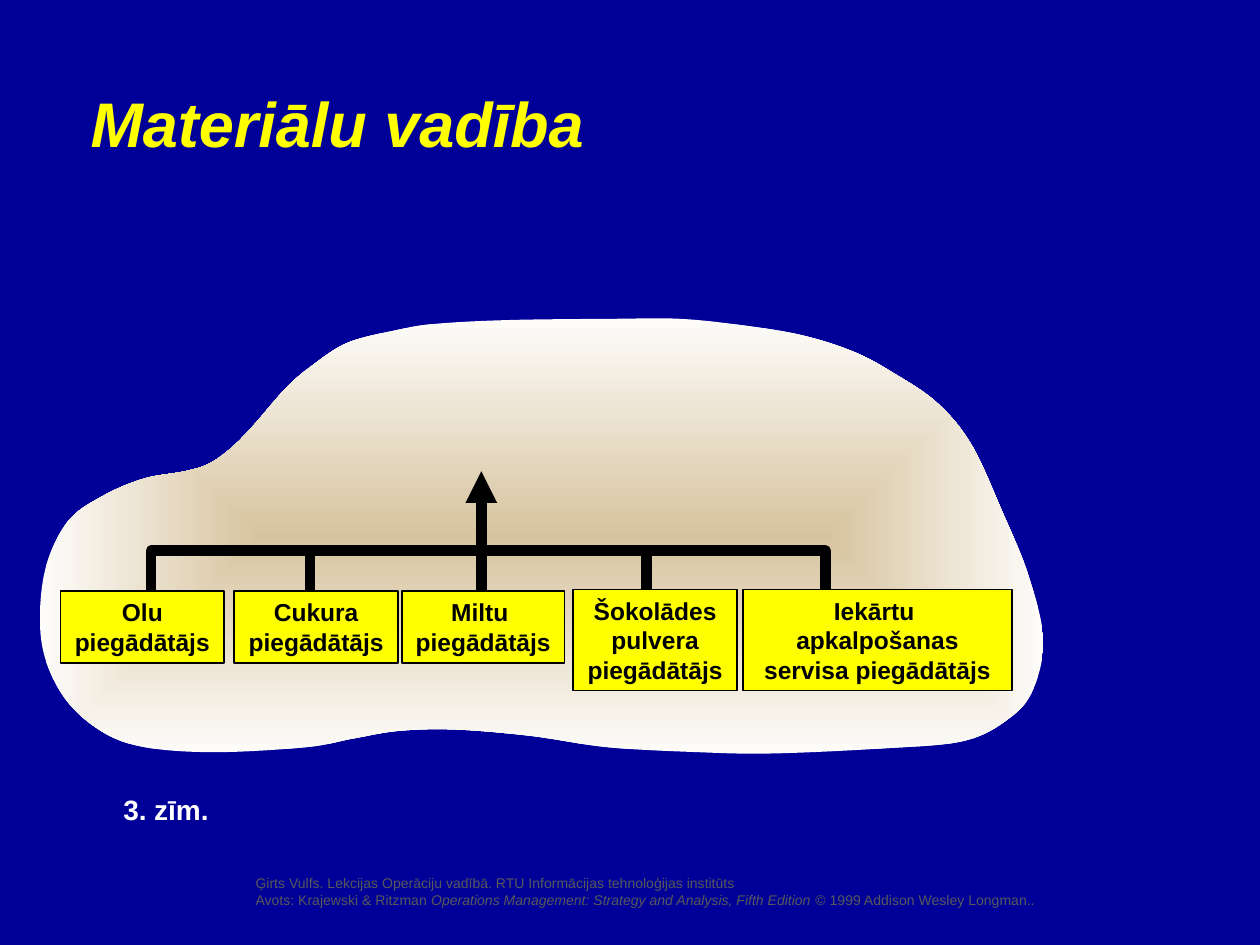
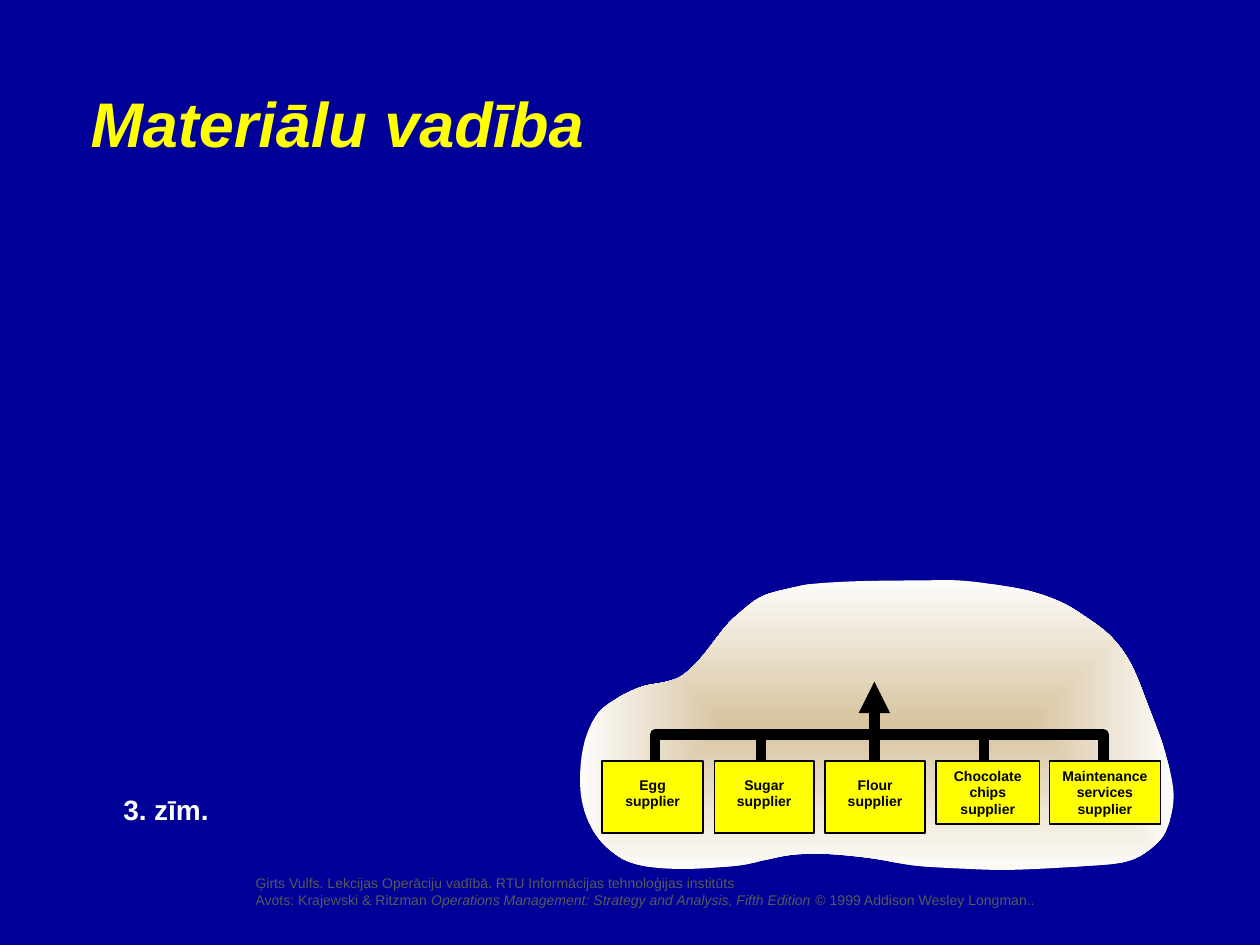
from dataclasses import dataclass
from typing import NamedTuple

from lxml.etree import SubElement as Sub
from pptx import Presentation
from pptx.dml.color import RGBColor
from pptx.enum.shapes import MSO_CONNECTOR as Link, MSO_SHAPE as Kind
from pptx.enum.text import MSO_ANCHOR as Anchor, PP_ALIGN as Align
from pptx.oxml.ns import qn
from pptx.util import Inches, Pt

NAVY = RGBColor(0x00, 0x00, 0x99)
YELLOW = RGBColor(0xFF, 0xFF, 0x00)
BLACK = RGBColor(0x00, 0x00, 0x00)
WHITE = RGBColor(0xFF, 0xFF, 0xFF)
GREY = RGBColor(0x59, 0x59, 0x59)
SAND = RGBColor(0xD7, 0xC4, 0x9F)
CREAM = RGBColor(0xFD, 0xFC, 0xFA)
FONT = "Arial"

KNOTS = [
    (3.46, 2.57), (3.15, 2.62), (2.76, 2.72), (2.48, 2.9), (2.27, 3.08),
    (2, 3.39), (1.83, 3.56), (1.66, 3.68), (1.47, 3.74), (1.14, 3.8),
    (0.81, 3.94), (0.53, 4.15), (0.35, 4.56), (0.33, 5.1), (0.5, 5.52),
    (0.8, 5.8), (1.15, 5.93), (1.71, 5.97), (2.43, 5.93), (2.81, 5.86),
    (3.17, 5.8), (3.62, 5.79), (4.21, 5.84), (4.82, 5.93), (5.54, 5.97),
    (6.13, 5.98), (7.01, 5.94), (7.65, 5.88), (8.01, 5.7), (8.2, 5.47),
    (8.28, 5.07), (8.16, 4.56), (7.95, 4.05), (7.71, 3.53), (7.44, 3.2),
    (7.09, 2.96), (6.77, 2.79), (6.36, 2.66), (5.88, 2.58), (5.39, 2.53),
    (4.88, 2.53), (4.04, 2.54),
]


class Area(NamedTuple):
    left: float
    top: float
    width: float
    height: float


class Style(NamedTuple):
    size: int
    color: RGBColor
    bold: bool = False
    slant: bool = False


class Box(NamedTuple):
    text: str
    area: Area
    inset: float = 0.05


class Fork(NamedTuple):
    left: float
    right: float
    top: float
    foot: float
    stems: tuple
    shaft: float
    tip: float


@dataclass
class Chain:
    cloud: Area
    fork: Fork
    size: int
    boxes: list


HOME = Area(0.31, 2.52, 7.98, 3.47)
HEAD = Style(36, YELLOW, True, True)
LABEL = Style(16, WHITE, True)
NOTE = Style(8, GREY)
CITE = Style(8, GREY, slant=True)

LOCAL = Chain(
    HOME, Fork(1.2, 6.55, 4.37, 4.74, (2.46, 5.13), 3.82, 3.74), 14,
    [
        Box("Olu\npiegādātājs", Area(0.48, 4.69, 1.3, 0.57)),
        Box("Cukura piegādātājs", Area(1.86, 4.69, 1.3, 0.57)),
        Box("Miltu \npiegādātājs", Area(3.19, 4.69, 1.29, 0.57)),
        Box("Šokolādes\npulvera piegādātājs", Area(4.55, 4.68, 1.3, 0.8)),
        Box("Iekārtu \napkalpošanas\nservisa piegādātājs",
            Area(5.9, 4.68, 2.13, 0.8)),
    ],
)
ENGLISH = Chain(
    Area(4.6, 4.6, 4.72, 2.31),
    Fork(5.2, 8.76, 5.83, 6.08, (6.04, 7.81), 6.94, 5.41), 8,
    [
        Box("Egg supplier", Area(4.78, 6.04, 0.8, 0.57), 0.12),
        Box("Sugar supplier", Area(5.67, 6.04, 0.79, 0.57), 0.12),
        Box("Flour supplier", Area(6.55, 6.04, 0.79, 0.57), 0.12),
        Box("Chocolate chips supplier", Area(7.43, 6.04, 0.82, 0.5)),
        Box("Maintenance services supplier", Area(8.33, 6.04, 0.88, 0.5)),
    ],
)


def add_run(para, text: str, style: Style) -> None:
    run = para.add_run()
    run.text = text
    font = run.font
    font.name, font.size = FONT, Pt(style.size)
    font.bold, font.italic = style.bold, style.slant
    font.color.rgb = style.color


def write(frame, lines: list, align=Align.LEFT) -> None:
    for i, runs in enumerate(lines):
        para = frame.add_paragraph() if i else frame.paragraphs[0]
        para.alignment = align
        for text, style in runs:
            add_run(para, text, style)


def add_text(slide, area: Area, lines: list) -> None:
    frame = slide.shapes.add_textbox(*map(Inches, area)).text_frame
    frame.word_wrap = False
    write(frame, lines)


def trace(slide, points: list, close: bool):
    spots = [(Inches(x), Inches(y)) for x, y in points]
    pen = slide.shapes.build_freeform(*spots[0])
    pen.add_line_segments(spots[1:], close=close)
    shape = pen.convert_to_shape()
    shape.shadow.inherit = False
    return shape


def lean(a: float, b: float, c: float, d: float) -> tuple:
    return b + (c - a) / 6, c - (d - b) / 6, c


def bend(shape, points: list) -> None:
    count = len(points)
    for i, edge in enumerate(list(shape.element.iter(qn("a:lnTo")))[:count]):
        near = [points[(i + k) % count] for k in (-1, 0, 1, 2)]
        xs, ys = zip(*near)
        edge.tag = qn("a:cubicBezTo")
        edge.remove(edge[0])
        for x, y in zip(lean(*xs), lean(*ys)):
            Sub(edge, qn("a:pt"), {
                "x": str(Inches(x) - shape.left),
                "y": str(Inches(y) - shape.top),
            })


def add_cloud(slide, area: Area) -> None:
    wide, high = area.width / HOME.width, area.height / HOME.height
    points = [
        (area.left + (x - HOME.left) * wide, area.top + (y - HOME.top) * high)
        for x, y in KNOTS
    ]
    cloud = trace(slide, points + points[:1], True)
    bend(cloud, points)
    cloud.line.fill.background()
    cloud.fill.gradient()
    for stop, color, place in zip(cloud.fill.gradient_stops, (SAND, CREAM), (0, 1)):
        stop.color.rgb = color
        stop.position = place
    grad = cloud.element.spPr.find(qn("a:gradFill"))
    grad.remove(grad.find(qn("a:lin")))
    shade = Sub(grad, qn("a:path"), {"path": "rect"})
    Sub(shade, qn("a:fillToRect"), dict.fromkeys("ltrb", "50000"))


def ink(line, width: float) -> None:
    line.color.rgb = BLACK
    line.width = Pt(width)


def add_stem(slide, x: float, foot: float, top: float, arrow: bool = False) -> None:
    ends = map(Inches, (x, foot, x, top))
    stem = slide.shapes.add_connector(Link.STRAIGHT, *ends)
    ink(stem.line, 6)
    if arrow:
        line = stem.element.spPr.find(qn("a:ln"))
        Sub(line, qn("a:tailEnd"), {"type": "triangle"})
    Sub(stem.element.spPr, qn("a:effectLst"))


def add_fork(slide, fork: Fork) -> None:
    rail = trace(slide, [
        (fork.left, fork.foot), (fork.left, fork.top),
        (fork.right, fork.top), (fork.right, fork.foot),
    ], False)
    rail.fill.background()
    ink(rail.line, 6)
    for x in fork.stems:
        add_stem(slide, x, fork.foot, fork.top)
    add_stem(slide, fork.shaft, fork.foot, fork.tip, True)


def add_box(slide, box: Box, style: Style) -> None:
    shape = slide.shapes.add_shape(Kind.RECTANGLE, *map(Inches, box.area))
    shape.shadow.inherit = False
    shape.fill.solid()
    shape.fill.fore_color.rgb = YELLOW
    ink(shape.line, 1)
    frame = shape.text_frame
    frame.word_wrap = True
    frame.vertical_anchor = Anchor.TOP
    frame.margin_top = Inches(box.inset)
    write(frame, [[(line, style)] for line in box.text.split("\n")], Align.CENTER)


def add_page(deck, chain: Chain) -> None:
    slide = deck.slides.add_slide(deck.slide_layouts[6])
    add_text(slide, Area(1.93, 6.89, 6.4, 0.37), [
        [("Ģirts Vulfs. Lekcijas Operāciju vadībā. "
          "RTU Informācijas tehnoloģijas institūts", NOTE)],
        [("Avots: Krajewski & Ritzman ", NOTE),
         ("Operations Management: Strategy and Analysis, Fifth Edition", CITE),
         (" © 1999 Addison Wesley Longman..", NOTE)],
    ])
    add_cloud(slide, chain.cloud)
    add_fork(slide, chain.fork)
    for box in chain.boxes:
        add_box(slide, box, Style(chain.size, BLACK, True))
    add_text(slide, Area(0.62, 0.62, 4.12, 0.7), [[("Materiālu vadība", HEAD)]])
    add_text(slide, Area(0.88, 6.24, 0.88, 0.37), [[("3. zīm.", LABEL)]])


def main() -> None:
    deck = Presentation()
    deck.slide_width, deck.slide_height = Inches(10), Inches(7.5)
    back = deck.slide_master.background.fill
    back.solid()
    back.fore_color.rgb = NAVY
    for chain in (LOCAL, ENGLISH):
        add_page(deck, chain)
    deck.save("out.pptx")


if __name__ == "__main__":
    main()
